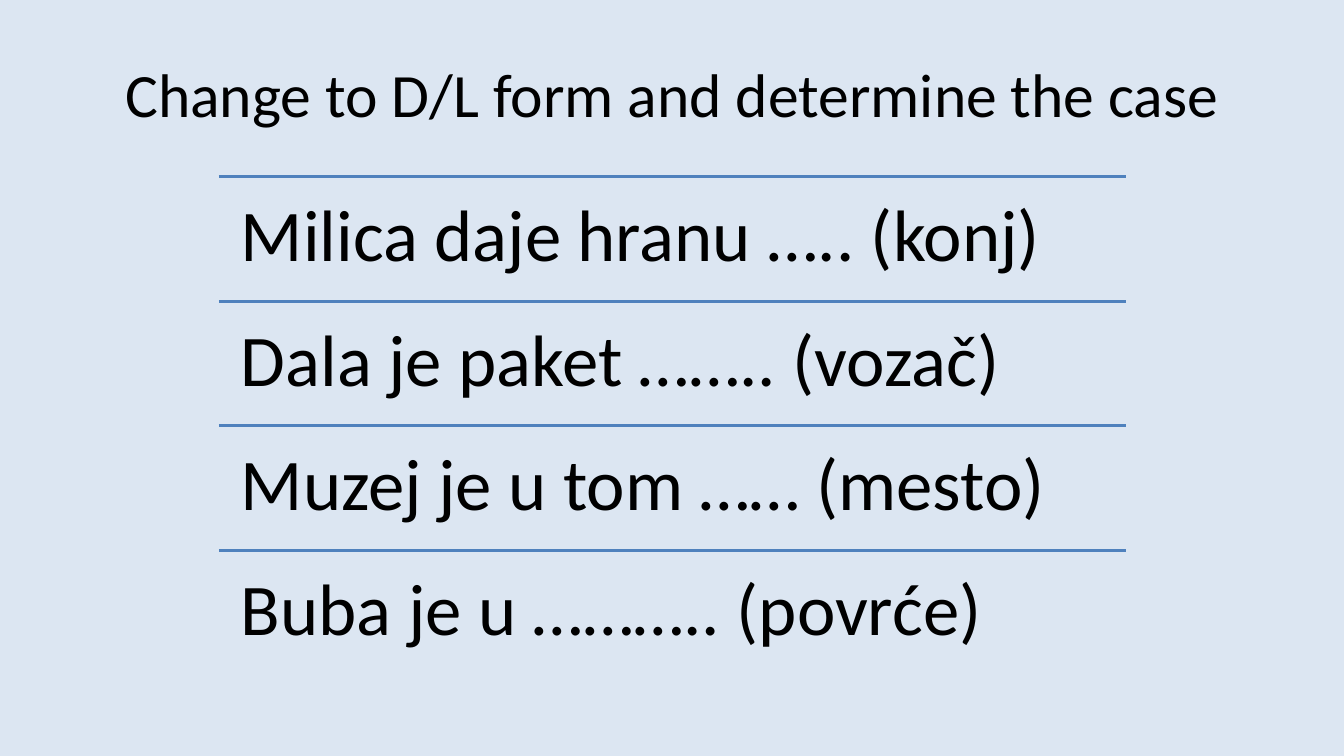
from dataclasses import dataclass

from lxml import etree
from pptx import Presentation
from pptx.dml.color import RGBColor
from pptx.enum.shapes import MSO_CONNECTOR
from pptx.enum.text import MSO_ANCHOR, PP_ALIGN
from pptx.oxml.ns import qn
from pptx.util import Inches, Pt

STRAIGHT = MSO_CONNECTOR.STRAIGHT
LEFT, CENTER = PP_ALIGN.LEFT, PP_ALIGN.CENTER
TOP, MIDDLE = MSO_ANCHOR.TOP, MSO_ANCHOR.MIDDLE


@dataclass(frozen=True)
class Theme:
    font: str = "Calibri"
    background: RGBColor = RGBColor(0xDC, 0xE6, 0xF2)
    ink: RGBColor = RGBColor(0, 0, 0)
    rule: RGBColor = RGBColor(0x4F, 0x81, 0xBD)
    title_size: int = 44
    exercise_size: int = 52
    rule_width: int = 2


THEME = Theme()

TITLE = "Change to D/L form and determine the case"
EXERCISES = [
    "Milica daje hranu ….. (konj)",
    "Dala je paket …….. (vozač)",
    "Muzej je u tom …… (mesto)",
    "Buba je u ……….. (povrće)",
]

# Exercise list area, in inches
LIST_LEFT, LIST_TOP, LIST_WIDTH, LIST_HEIGHT = 2.17, 1.75, 9, 4.95


def add_text(page, text, left, top, width, height, *, size,
             align=LEFT, anchor=TOP, inset=0.1, line_spacing=1.0):
    box = page.shapes.add_textbox(Inches(left), Inches(top), Inches(width), Inches(height))
    frame = box.text_frame
    frame.word_wrap = True
    frame.vertical_anchor = anchor
    frame.margin_left = frame.margin_right = Inches(inset)
    frame.margin_top = frame.margin_bottom = Inches(inset)
    para = frame.paragraphs[0]
    para.alignment = align
    para.line_spacing = line_spacing
    span = para.add_run()
    span.text = text
    span.font.name = THEME.font
    span.font.size = Pt(size)
    span.font.color.rgb = THEME.ink


def add_rule(page, left, top, width):
    rule = page.shapes.add_connector(
        STRAIGHT, Inches(left), Inches(top), Inches(left + width), Inches(top))
    rule.line.color.rgb = THEME.rule
    rule.line.width = Pt(THEME.rule_width)
    etree.SubElement(rule._element.spPr, qn("a:effectLst"))


def add_exercises(page, exercises):
    row_height = LIST_HEIGHT / len(exercises)
    for index, exercise in enumerate(exercises):
        top = LIST_TOP + index * row_height
        add_rule(page, LIST_LEFT, top, LIST_WIDTH)
        add_text(page, exercise, LIST_LEFT, top, LIST_WIDTH, row_height,
                 size=THEME.exercise_size, inset=0.22, line_spacing=0.9)


def main():
    deck = Presentation()
    deck.slide_width, deck.slide_height = Inches(13.33), Inches(7.5)
    page = deck.slides.add_slide(deck.slide_layouts[6])

    # Background
    page.background.fill.solid()
    page.background.fill.fore_color.rgb = THEME.background

    # Title
    add_text(page, TITLE, 0.67, 0.3, 12, 1.25,
             size=THEME.title_size, align=CENTER, anchor=MIDDLE)

    # Ruled list of exercises
    add_exercises(page, EXERCISES)

    deck.save("out.pptx")


if __name__ == "__main__":
    main()
